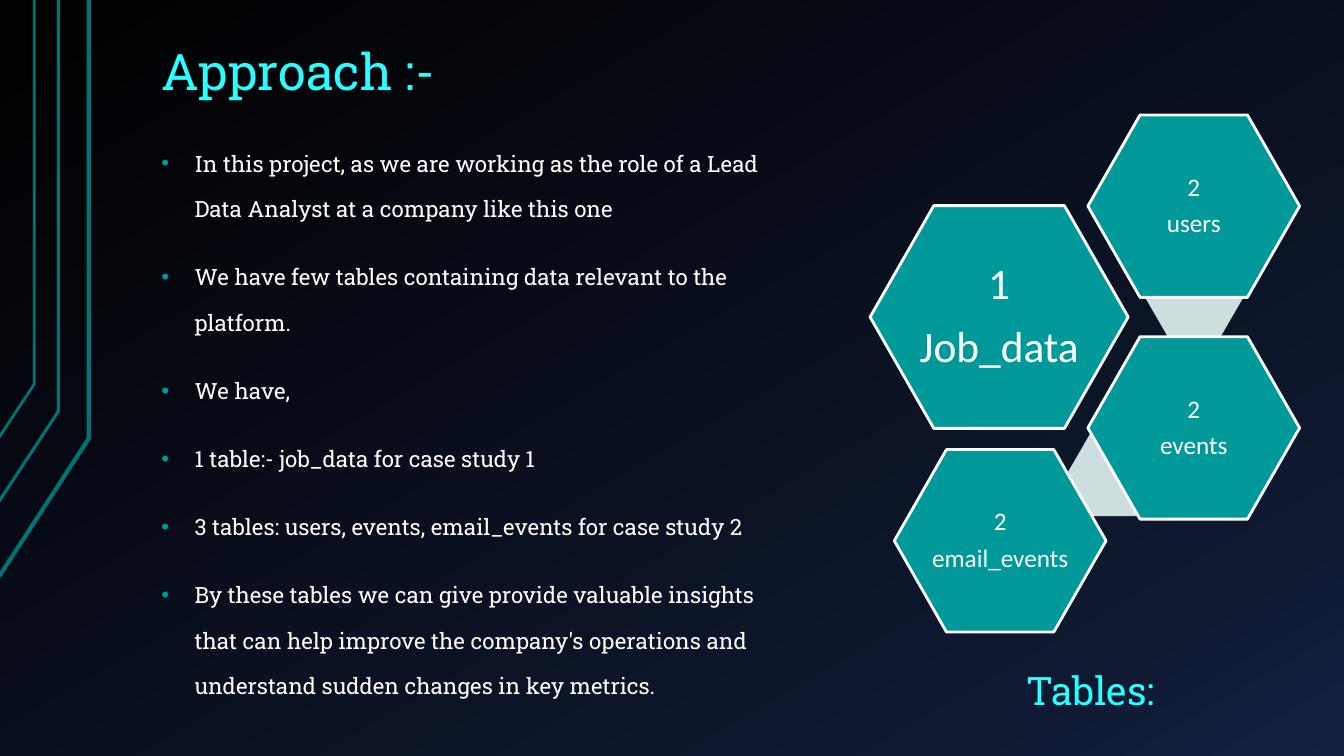
from copy import deepcopy

from lxml import etree
from pptx import Presentation
from pptx import util as u
from pptx.dml import color
from pptx.enum import shapes, text
from pptx.oxml import ns

COLORS = {
    "teal": "009999",
    "dark_teal": "007373",
    "pale": "CCDEDE",
    "cyan": "29FFFF",
    "white": "FFFFFF",
}
BACKGROUND = [(0, "000000"), (0.85, "0F1931"), (1, "142242")]
EDGE_LINES = [
    (3, [(-1, 572), (88, 435), (88, 0)]),
    (2.25, [(-2, 499), (58, 408), (58, 0)]),
    (2, [(-1, 434), (34, 381), (34, 0)]),
]
POINTS = [
    "In this project, as we are working as the role of a Lead Data Analyst at a company like this one",
    "We have few tables containing data relevant to the platform.",
    "We have,",
    "1 table:- job_data for case study 1",
    "3 tables: users, events, email_events for case study 2",
    "By these tables we can give provide valuable insights that can help improve the company's "
    "operations and understand sudden changes in key metrics.",
]
LINKS = [(1136, 254), (1058, 429)]
TABLES = [
    ((863, 204, 256, 221), 31, ["1", "Job_data"]),
    ((1079, 114, 210, 181), 18, ["2", "users"]),
    ((1079, 334, 210, 181), 18, ["2", "events"]),
    ((887, 446, 210, 181), 18, ["2", "email_events"]),
]


def px(value):
    return u.Emu(round(value * 9144))


def rgb(name):
    return color.RGBColor.from_string(COLORS[name])


def apply(target, values):
    for name, value in values.items():
        setattr(target, name, value)


class Deck:
    heading_font = "Roboto Slab"
    label_font = "Calibri"

    def __init__(self, width, height):
        self.presentation = Presentation()
        apply(self.presentation, {"slide_width": px(width), "slide_height": px(height)})
        self.slide = self.presentation.slides.add_slide(self.presentation.slide_layouts[6])

    def background(self, stops, angle):
        fill = self.slide.background.fill
        fill.gradient()
        fill.gradient_angle = angle
        stop_list = self.slide.element.find(".//" + ns.qn("a:gsLst"))
        stop_list.append(deepcopy(stop_list[-1]))
        for stop, (position, value) in zip(fill.gradient_stops, stops):
            stop.position = position
            stop.color.rgb = color.RGBColor.from_string(value)

    def outline(self, shape, name, width):
        shape.line.color.rgb = rgb(name)
        shape.line.width = u.Pt(width)

    def edge_line(self, width, points):
        builder = self.slide.shapes.build_freeform(*points[0], scale=9144.0)
        builder.add_line_segments(points[1:], close=False)
        shape = builder.convert_to_shape()
        shape.shadow.inherit = False
        shape.fill.background()
        self.outline(shape, "dark_teal", width)

    def hexagon(self, box, fill, adjust, line_width=None):
        shape = self.slide.shapes.add_shape(shapes.MSO_SHAPE.HEXAGON, *map(px, box))
        shape.adjustments[0] = adjust
        shape.adjustments[1] = 1.155
        shape.shadow.inherit = False
        shape.fill.solid()
        shape.fill.fore_color.rgb = rgb(fill)
        if line_width:
            self.outline(shape, "white", line_width)
        else:
            shape.line.fill.background()

    def bullet(self, paragraph):
        properties = paragraph._p.get_or_add_pPr()
        for name, value in {"marL": 33, "indent": -33}.items():
            properties.set(name, str(px(value)))
        bullet_color = etree.SubElement(properties, ns.qn("a:buClr"))
        etree.SubElement(bullet_color, ns.qn("a:srgbClr"), val=COLORS["teal"])
        etree.SubElement(properties, ns.qn("a:buFont"), typeface="Arial")
        etree.SubElement(properties, ns.qn("a:buChar"), char="•")

    def text(self, box, lines, font, size, name, anchor, insets=(13, 7),
             bullets=False, before=0, **paragraph_format):
        frame = self.slide.shapes.add_textbox(*map(px, box)).text_frame
        side, edge = map(px, insets)
        apply(frame, {
            "word_wrap": True, "vertical_anchor": anchor,
            "margin_left": side, "margin_right": side,
            "margin_top": edge, "margin_bottom": edge,
        })
        for index, line in enumerate(lines):
            paragraph = frame.add_paragraph() if index else frame.paragraphs[0]
            if bullets:
                self.bullet(paragraph)
            apply(paragraph, paragraph_format)
            if index and before:
                paragraph.space_before = u.Pt(before)
            run = paragraph.add_run()
            run.text = line
            apply(run.font, {"name": font, "size": u.Pt(size)})
            run.font.color.rgb = rgb(name)

    def heading(self, box, title, size):
        self.text(box, [title], self.heading_font, size, "cyan",
                  text.MSO_ANCHOR.BOTTOM, line_spacing=0.9)

    def bullet_list(self, box, lines):
        self.text(box, lines, self.heading_font, 16, "white", text.MSO_ANCHOR.TOP,
                  bullets=True, before=16, line_spacing=1.7)

    def table_hexagon(self, box, size, lines):
        self.hexagon(box, "teal", 0.286, 2)
        left, top, width, height = box
        label_box = (left + width / 6, top + height / 6, width * 2 / 3, height * 2 / 3)
        self.text(label_box, lines, self.label_font, size, "white", text.MSO_ANCHOR.MIDDLE,
                  insets=(0, 3), alignment=text.PP_ALIGN.CENTER,
                  line_spacing=0.9, space_after=u.Pt(size * 0.35))

    def save(self):
        self.presentation.save("out.pptx")


def main():
    deck = Deck(1333, 750)
    deck.background(BACKGROUND, 300)
    for width, points in EDGE_LINES:
        deck.edge_line(width, points)
    deck.heading((147, 4, 1133, 104), "Approach :-", 36)
    deck.bullet_list((147, 123, 661, 614), POINTS)
    for left, top in LINKS:
        deck.hexagon((left, top, 97, 83), "pale", 0.289)
    for table in TABLES:
        deck.table_hexagon(*table)
    deck.heading((1005, 611, 196, 104), "Tables:", 28)
    deck.save()


if __name__ == "__main__":
    main()
